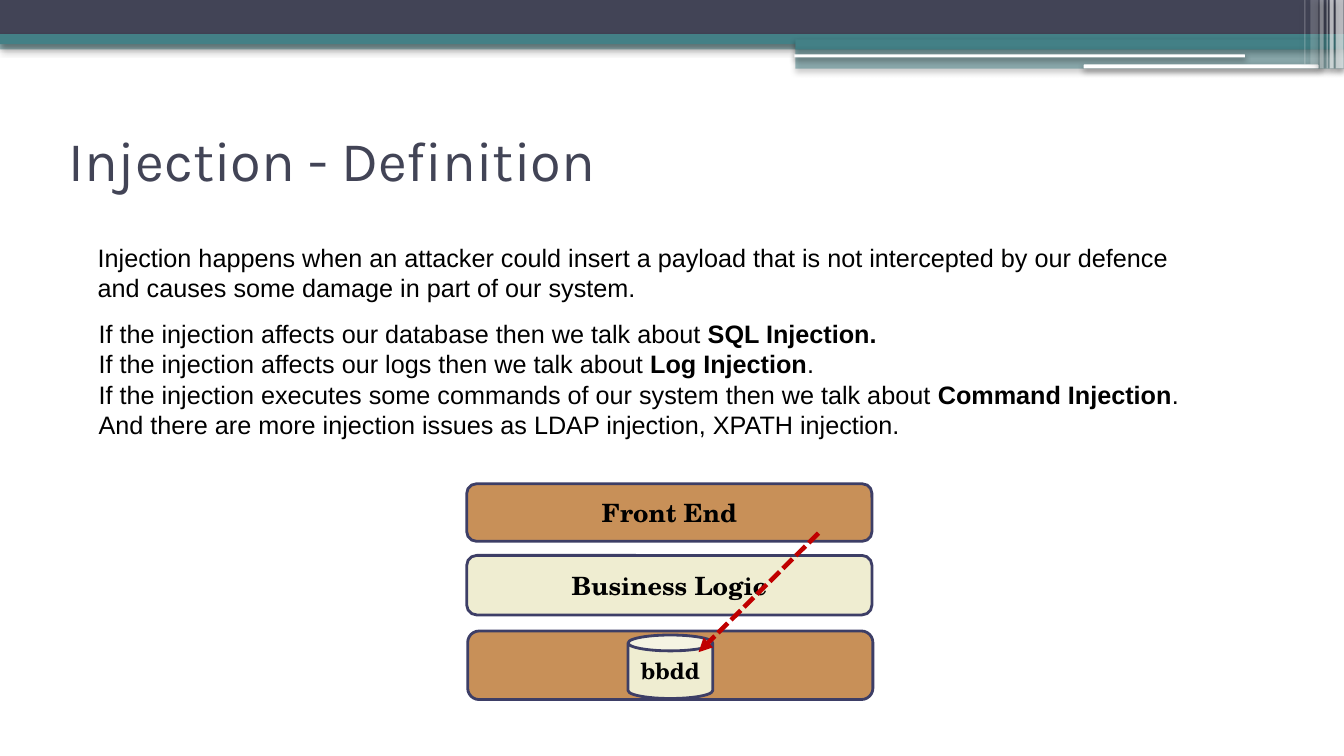
from lxml import etree
from pptx import Presentation
from pptx.dml.color import RGBColor
from pptx.enum.dml import MSO_LINE
from pptx.enum.shapes import MSO_CONNECTOR, MSO_SHAPE
from pptx.enum.text import MSO_ANCHOR, PP_ALIGN
from pptx.oxml.ns import qn
from pptx.util import Inches, Pt

RECT, ROUNDED, CAN = MSO_SHAPE.RECTANGLE, MSO_SHAPE.ROUNDED_RECTANGLE, MSO_SHAPE.CAN
STRAIGHT, DASH = MSO_CONNECTOR.STRAIGHT, MSO_LINE.SQUARE_DOT
TOP, MIDDLE = MSO_ANCHOR.TOP, MSO_ANCHOR.MIDDLE
LEFT, CENTER = PP_ALIGN.LEFT, PP_ALIGN.CENTER

WIDTH, HEIGHT = Inches(13.33), Inches(7.5)
NAVY, TEAL, WHITE, BLACK = "424456", "438086", "FFFFFF", "000000"
COPPER, CREAM, OUTLINE, RED = "C89058", "EFEDD1", "3D3E66", "C00000"
HEADING, BODY, LABEL = "Karla", "Arial", "TeX Gyre Schola"

BANDS = [
    (RECT, (0, 5.33, 100, 1.2), TEAL, 50),
    (RECT, (0, 0, 100, 4.53), NAVY, 100),
    (RECT, (0, 4.53, 100, 1.33), TEAL, 100),
    (RECT, (59.18, 5.2, 40.82, 1.33), TEAL, 100),
    (RECT, (59.18, 6.4, 40.82, 2.67), TEAL, 50),
    (ROUNDED, (59.1, 7.2, 33.53, 0.4), WHITE, 100),
    (ROUNDED, (80.63, 8.53, 17.48, 0.53), WHITE, 100),
]
STRIPES = [
    (99.38, 0.6, 9.07, 65),
    (98.93, 0.3, 9.07, 65),
    (98.7, 0.08, 9.07, 60),
    (98.18, 0.3, 9.07, 40),
    (97.5, 0.6, 8.53, 20),
    (97.05, 0.08, 8.53, 30),
]
LAYERS = [
    (ROUNDED, (34.8, 83.47, 30.15, 9.07), COPPER, "", 18),
    (CAN, (46.73, 84, 6.3, 8.4), CREAM, "bbdd", 16),
    (ROUNDED, (34.73, 73.47, 30.15, 7.87), CREAM, "Business Logic", 18),
    (ROUNDED, (34.73, 64, 30.15, 7.6), COPPER, "Front End", 18),
]
INTRO = [[("Injection happens when an attacker could insert a payload that is not "
           "intercepted by our defence and causes some damage in part of our system.", False)]]
KINDS = [
    [("If the injection affects our database then we talk about ", False),
     ("SQL Injection.", True)],
    [("If the injection affects our logs then we talk about ", False),
     ("Log Injection", True), (".", False)],
    [("If the injection executes some commands of our system then we talk about ", False),
     ("Command Injection", True), (".", False)],
    [("And there are more injection issues as LDAP injection, XPATH injection.", False)],
]


def across(share):
    return round(WIDTH * share / 100)


def down(share):
    return round(HEIGHT * share / 100)


def place(box):
    left, top, width, height = box
    return across(left), down(top), across(width), down(height)


def color(value):
    return RGBColor.from_string(value)


def add_effects(shape):
    return etree.SubElement(shape._element.spPr, qn("a:effectLst"))


def set_alpha(color_element, percent):
    etree.SubElement(color_element, qn("a:alpha"), val=str(percent * 1000))


def write(frame, paragraphs, font, size, hue, align=LEFT, anchor=TOP):
    frame.word_wrap = True
    frame.vertical_anchor = anchor
    for index, runs in enumerate(paragraphs):
        paragraph = frame.add_paragraph() if index else frame.paragraphs[0]
        paragraph.alignment = align
        for words, bold in runs:
            run = paragraph.add_run()
            run.text = words
            run.font.name = font
            run.font.size = Pt(size)
            run.font.bold = bold
            run.font.color.rgb = color(hue)


def add_band(slide, kind, box, hue, opacity):
    band = slide.shapes.add_shape(kind, *place(box))
    band.fill.solid()
    band.fill.fore_color.rgb = color(hue)
    band.line.fill.background()
    if opacity < 100:
        set_alpha(band._element.spPr.find(qn("a:solidFill"))[0], opacity)
    shadow = etree.SubElement(add_effects(band), qn("a:outerShdw"), blurRad=str(Pt(4.1)),
                              dist=str(Pt(2)), dir="5400000", rotWithShape="0")
    set_alpha(etree.SubElement(shadow, qn("a:srgbClr"), val=BLACK), 40)


def add_text(slide, box, paragraphs, font, size, hue, anchor=TOP, inset=True):
    frame = slide.shapes.add_textbox(*place(box)).text_frame
    if not inset:
        frame.margin_left = frame.margin_right = 0
        frame.margin_top = frame.margin_bottom = 0
    write(frame, paragraphs, font, size, hue, anchor=anchor)


def add_layer(slide, kind, box, hue, label, size):
    layer = slide.shapes.add_shape(kind, *place(box))
    layer.shadow.inherit = False
    layer.fill.solid()
    layer.fill.fore_color.rgb = color(hue)
    layer.line.color.rgb = color(OUTLINE)
    layer.line.width = Pt(2)
    if label:
        write(layer.text_frame, [[(label, True)]], LABEL, size, BLACK, CENTER, MIDDLE)


def add_attack(slide, start, end):
    attack = slide.shapes.add_connector(STRAIGHT, across(start[0]), down(start[1]),
                                        across(end[0]), down(end[1]))
    attack.line.color.rgb = color(RED)
    attack.line.width = Pt(3.25)
    attack.line.dash_style = DASH
    etree.SubElement(attack.line._get_or_add_ln(), qn("a:tailEnd"), type="triangle")
    add_effects(attack)


def main():
    deck = Presentation()
    deck.slide_width, deck.slide_height = WIDTH, HEIGHT
    slide = deck.slides.add_slide(deck.slide_layouts[6])
    for band in BANDS:
        add_band(slide, *band)
    for left, width, height, opacity in STRIPES:
        add_band(slide, RECT, (left, 0, width, height), WHITE, opacity)
    add_text(slide, (5.1, 13.2, 90, 15.6), [[("Injection - Definition", False)]],
             HEADING, 40, NAVY, MIDDLE, inset=False)
    add_text(slide, (6.53, 31.33, 81.53, 10.67), INTRO, BODY, 18, BLACK)
    for layer in LAYERS:
        add_layer(slide, *layer)
    add_attack(slide, (60.9, 70.53), (51.98, 86.27))
    add_text(slide, (6.6, 41.47, 82.05, 16.8), KINDS, BODY, 18, BLACK)
    deck.save("out.pptx")


if __name__ == "__main__":
    main()
